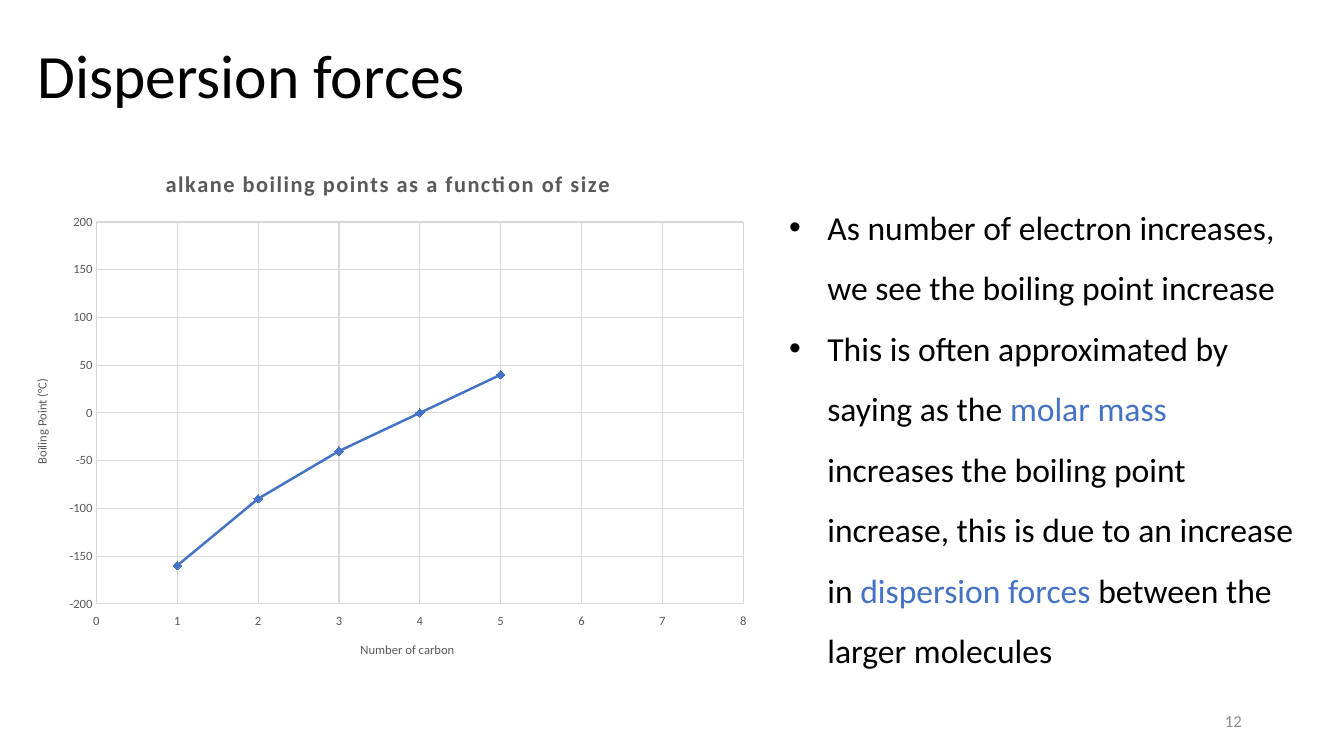
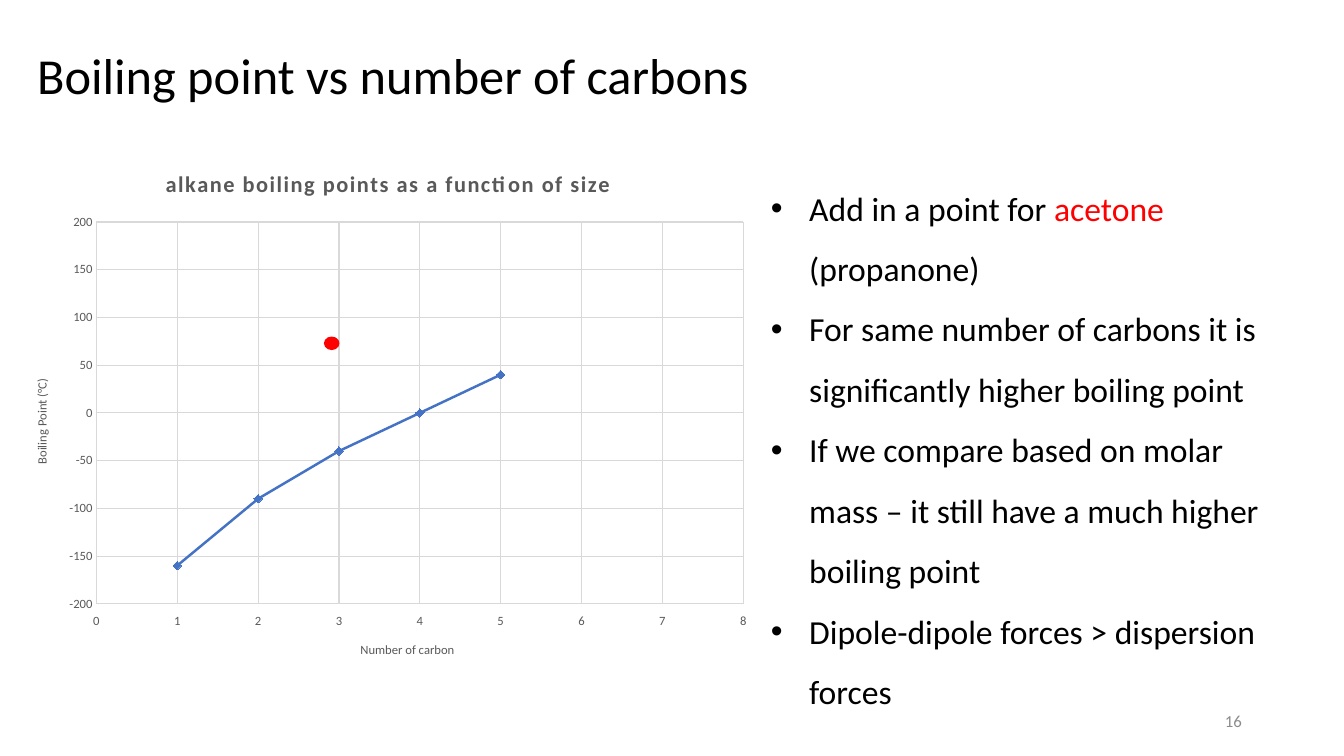
from dataclasses import dataclass

from lxml import etree
from pptx import Presentation
from pptx.chart.data import XyChartData
from pptx.dml.color import RGBColor
from pptx.enum.chart import (XL_CHART_TYPE as ChartType, XL_MARKER_STYLE as Marker,
                             XL_TICK_LABEL_POSITION as LabelPos, XL_TICK_MARK as Tick)
from pptx.enum.shapes import MSO_SHAPE as Shape
from pptx.enum.text import MSO_ANCHOR as Anchor, MSO_AUTO_SIZE as AutoSize, PP_ALIGN as Align
from pptx.oxml.ns import qn
from pptx.util import Inches, Pt


@dataclass(frozen=True)
class Theme:
    font: str = "Calibri"
    black: str = "000000"
    blue: str = "4472C4"
    red: str = "FF0000"
    grey: str = "595959"
    grid: str = "D9D9D9"
    number: str = "8C8C8C"
    body: int = 24
    small: int = 12
    chart_title: int = 16
    axis: int = 9


T = Theme()
W, H = 40 / 3, 7.5

# Regions shared by the slides: left, top, width, height
TITLE_BOX = (0.27, 0.05, 10.02, 1.45)
CHART_BOX = (0.14, 1.49, 7.42, 5.24)
NUMBER_BOX = (9.42, 6.95, 3, 0.4)

# Inner plot as shares of the chart box, and the axis ranges
PLOT = dict(x=0.11, y=0.136, w=0.865, h=0.723)
X_RANGE = (0, 8, 1)
Y_RANGE = (-200, 200, 50)
BOILING = [(1, -160), (2, -90), (3, -40), (4, 0), (5, 40)]


def rgb(code):
    return RGBColor.from_string(code)


def style(obj, **values):
    for name, value in values.items():
        setattr(obj, name, value)


def set_font(font, size, color, bold=False):
    style(font, name=T.font, size=Pt(size), bold=bold)
    font.color.rgb = rgb(color)


def set_line(line, color, width):
    line.color.rgb = rgb(color)
    line.width = Pt(width)


def add_text(s, box, paragraphs, size, color=T.black, anchor=Anchor.TOP, bullet=False,
             fmt=None, auto_size=AutoSize.NONE):
    """Each paragraph is a list of (text, color or None) runs."""
    tf = s.shapes.add_textbox(*map(Inches, box)).text_frame
    style(tf, word_wrap=True, vertical_anchor=anchor, auto_size=auto_size)
    for i, runs in enumerate(paragraphs):
        p = tf.paragraphs[0] if i == 0 else tf.add_paragraph()
        style(p, **(fmt or {}))
        if bullet:
            add_bullet(p)
        for text, tint in runs:
            r = p.add_run()
            r.text = text
            set_font(r.font, size, tint or color)


def add_bullet(p, indent=0.38):
    pPr = p._p.get_or_add_pPr()
    pPr.set("marL", str(Inches(indent)))
    pPr.set("indent", str(-Inches(indent)))
    etree.SubElement(pPr, qn("a:buFont")).set("typeface", "Arial")
    etree.SubElement(pPr, qn("a:buChar")).set("char", "•")


def place(element, index, **shares):
    """Fix a chart part at shares of the chart box."""
    for old in element.findall(qn("c:layout")):
        element.remove(old)
    layout = etree.Element(qn("c:layout"))
    manual = etree.SubElement(layout, qn("c:manualLayout"))
    if "w" in shares:
        etree.SubElement(manual, qn("c:layoutTarget")).set("val", "inner")
    for mode in ("xMode", "yMode"):
        etree.SubElement(manual, qn("c:" + mode)).set("val", "edge")
    for key, value in shares.items():
        etree.SubElement(manual, qn("c:" + key)).set("val", str(value))
    element.insert(index, layout)


def add_chart_title(title, text, size, x, y, bold=False):
    tf = title.text_frame
    tf.text = text
    r = tf.paragraphs[0].runs[0]
    set_font(r.font, size, T.grey, bold)
    place(title._element, 1, x=x, y=y)
    return tf, r


def format_axis(axis, limits, labels, text, x, y):
    low, high, step = limits
    style(axis, minimum_scale=low, maximum_scale=high, major_unit=step,
          major_tick_mark=Tick.NONE, minor_tick_mark=Tick.NONE,
          tick_label_position=labels, has_major_gridlines=True)
    set_font(axis.tick_labels.font, T.axis, T.grey)
    for line in (axis.format.line, axis.major_gridlines.format.line):
        set_line(line, T.grid, 0.75)
    return add_chart_title(axis.axis_title, text, T.axis, x, y)[0]


def add_boiling_chart(s, box):
    data = XyChartData()
    series = data.add_series("Series 1")
    for carbons, degrees in BOILING:
        series.add_data_point(carbons, degrees)
    chart = s.shapes.add_chart(ChartType.XY_SCATTER_LINES, *map(Inches, box), data).chart
    set_font(chart.font, 10, T.black)
    chart.has_legend = False

    # Titles and axes
    _, r = add_chart_title(chart.chart_title, "alkane boiling points as a function of size",
                           T.chart_title, 0.197, 0.027, True)
    r.font._element.set("spc", "120")
    format_axis(chart.category_axis, X_RANGE, LabelPos.LOW,
                "Number of carbon", 0.46, 0.926)
    tf = format_axis(chart.value_axis, Y_RANGE, LabelPos.NEXT_TO_AXIS,
                     "Boiling Point (°C)", 0.023, 0.428)
    tf._txBody.bodyPr.set("rot", "-5400000")
    tf._txBody.bodyPr.set("vert", "horz")
    place(chart._chartSpace.chart.plotArea, 0, **PLOT)

    # Line with diamond markers
    plot = chart.plots[0]
    plot.vary_by_categories = False
    line = plot.series[0]
    line.smooth = False
    set_line(line.format.line, T.blue, 1.75)
    style(line.marker, style=Marker.DIAMOND, size=6)
    line.marker.format.fill.solid()
    line.marker.format.fill.fore_color.rgb = rgb(T.blue)
    set_line(line.marker.format.line, T.blue, 0.75)


def add_dot(s, box, carbons, degrees, w=0.14, h=0.12):
    """Mark a point in the units of the chart that fills the box."""
    left, top, width, height = box
    across = (carbons - X_RANGE[0]) / (X_RANGE[1] - X_RANGE[0])
    down = (Y_RANGE[1] - degrees) / (Y_RANGE[1] - Y_RANGE[0])
    x = left + width * (PLOT["x"] + PLOT["w"] * across) - w / 2
    y = top + height * (PLOT["y"] + PLOT["h"] * down) - h / 2
    dot = s.shapes.add_shape(Shape.OVAL, *map(Inches, (x, y, w, h)))
    dot.shadow.inherit = False
    dot.fill.solid()
    dot.fill.fore_color.rgb = rgb(T.red)
    set_line(dot.line, T.red, 1)


def add_chart_slide(prs, title, title_size, number, bullets, bullet_box, dot=None):
    s = prs.slides.add_slide(prs.slide_layouts[6])
    add_text(s, TITLE_BOX, [[(title, None)]], title_size, anchor=Anchor.MIDDLE,
             fmt=dict(line_spacing=0.9, space_after=Pt(6)))
    add_text(s, NUMBER_BOX, [[(number, None)]], T.small, T.number, Anchor.MIDDLE,
             fmt=dict(alignment=Align.RIGHT, space_after=Pt(6)))
    add_boiling_chart(s, CHART_BOX)
    add_text(s, bullet_box, bullets, T.body, bullet=True, fmt=dict(line_spacing=1.5),
             auto_size=AutoSize.SHAPE_TO_FIT_TEXT)
    if dot:
        add_dot(s, CHART_BOX, *dot)


def main():
    prs = Presentation()
    style(prs, slide_width=Inches(W), slide_height=Inches(H))

    add_chart_slide(prs, "Dispersion forces", 44, "12", [
        [("As number of electron increases, we see the boiling point increase", None)],
        [("This is often approximated by saying as the ", None),
         ("molar mass ", T.blue),
         ("increases the boiling point increase, this is due to an increase in ", None),
         ("dispersion forces ", T.blue),
         ("between the larger molecules", None)],
    ], (7.73, 1.8, 5.2, 4.89))

    add_chart_slide(prs, "Boiling point vs number of carbons", 36, "16", [
        [("Add in a point for ", None), ("acetone", T.red), (" (propanone)", None)],
        [("For same number of carbons it is significantly higher boiling point", None)],
        [("If we compare based on molar mass – it still have a much higher boiling point",
          None)],
        [("Dipole-dipole forces > dispersion forces", None)],
    ], (7.55, 1.61, 5.44, 5.49), dot=(2.91, 73))

    prs.save("out.pptx")


if __name__ == "__main__":
    main()
